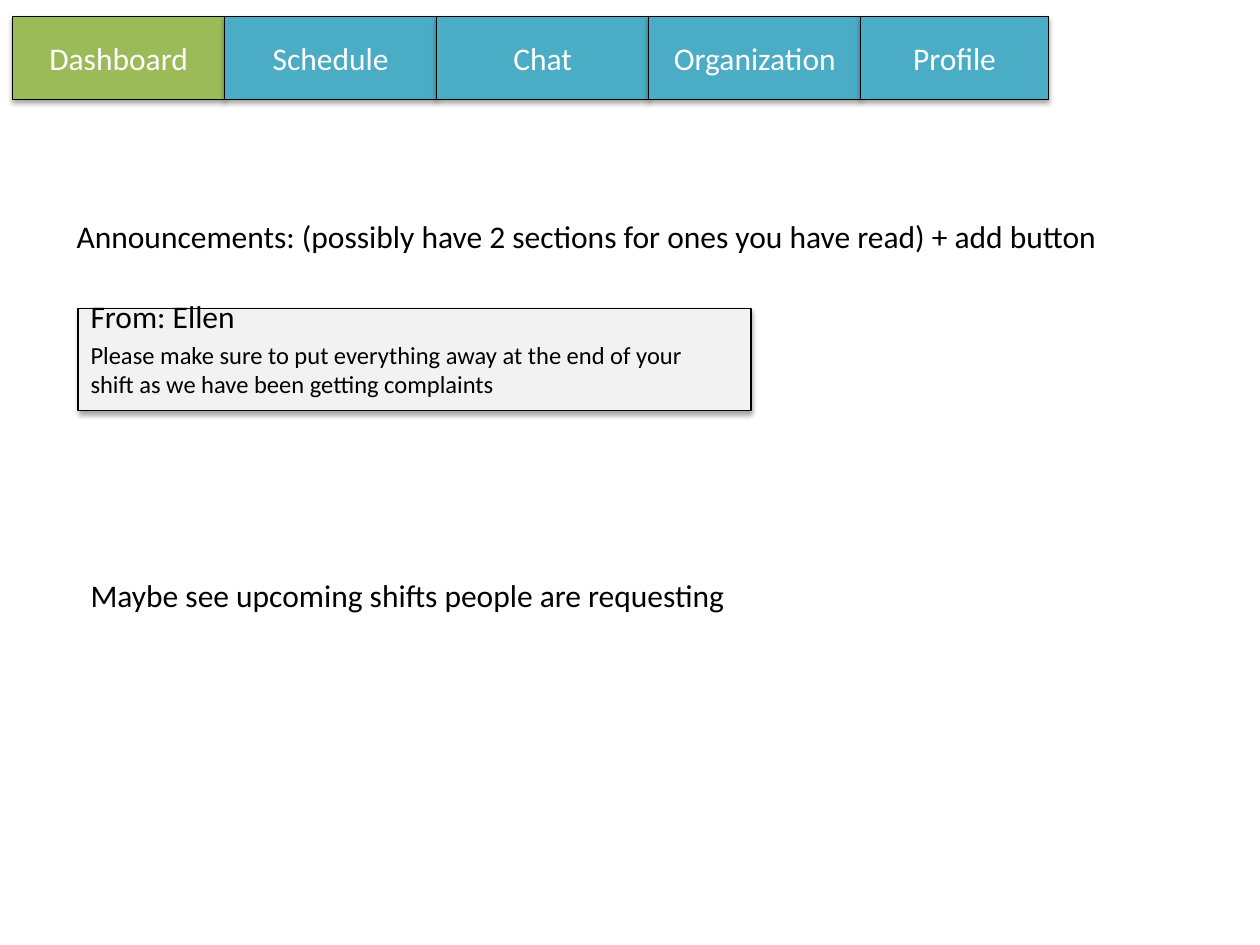
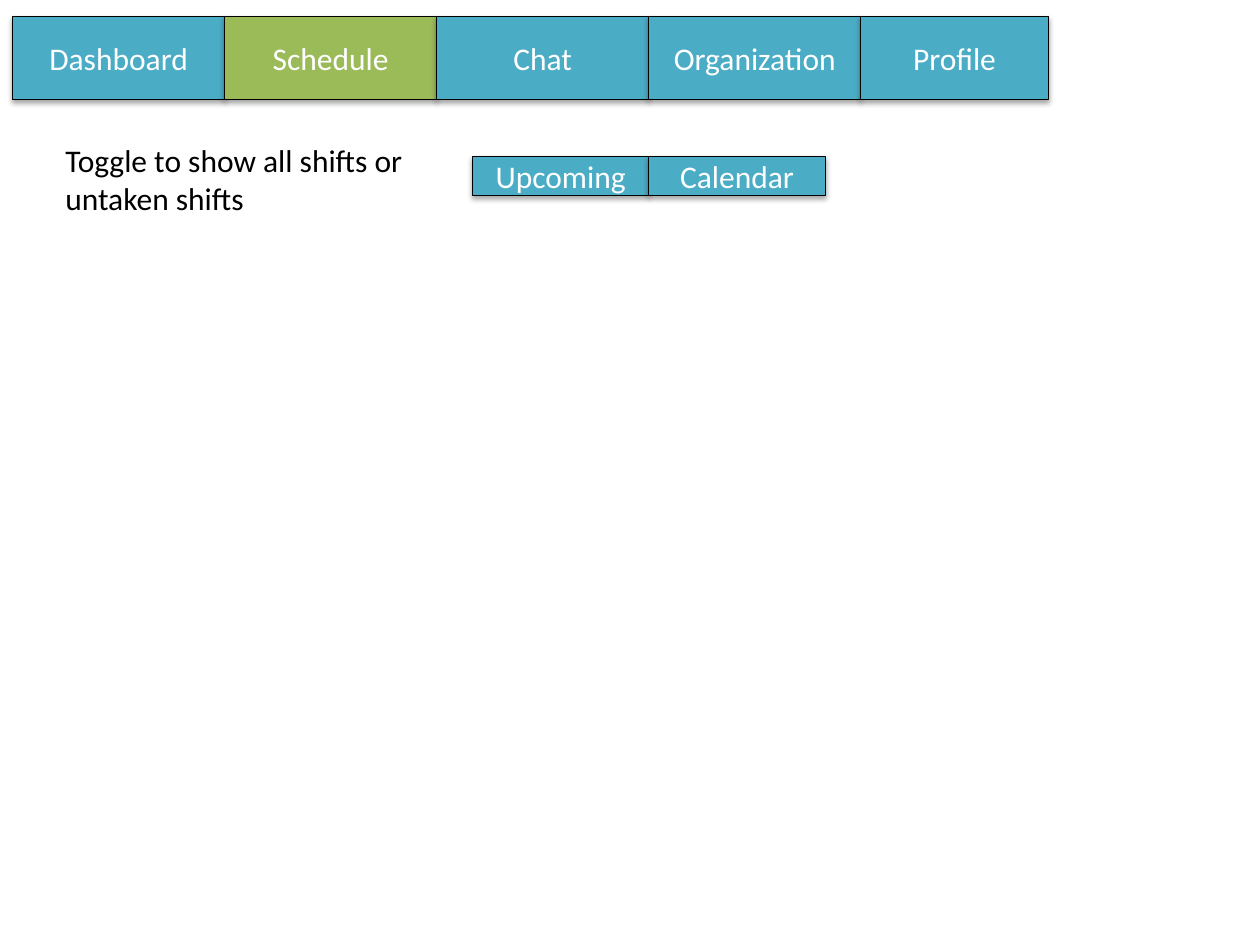
from lxml.etree import SubElement
from pptx import Presentation
from pptx.dml.color import RGBColor
from pptx.enum.shapes import MSO_SHAPE
from pptx.enum.text import MSO_ANCHOR, PP_ALIGN
from pptx.oxml.ns import qn
from pptx.util import Inches, Pt

COLORS = {
    "active": "9BBB59",
    "tab": "4BACC6",
    "card": "F2F2F2",
    "ink": "000000",
    "light": "FFFFFF",
}
FONT = "Calibri"
NAV_BOX = (0.1, 0.13, 8.22, 0.66)
NAV_LABELS = ["Dashboard", "Schedule", "Chat", "Organization", "Profile"]
NAV_STEP = 1.683


def color(name):
    """Return the palette colour of the given name."""
    return RGBColor.from_string(COLORS[name])


def write(frame, text, size=18, ink="ink", align=PP_ALIGN.LEFT,
          anchor=MSO_ANCHOR.TOP, wrap=True, top_inset=0.05):
    """Put formatted text into a text frame."""
    frame.word_wrap = wrap
    frame.vertical_anchor = anchor
    frame.margin_top = Inches(top_inset)
    paragraph = frame.paragraphs[0]
    paragraph.alignment = align
    run = paragraph.add_run()
    run.text = text
    run.font.name = FONT
    run.font.size = Pt(size)
    run.font.color.rgb = color(ink)


def add_note(slide, box, text, **text_format):
    """Add a text box at the given left, top, width and height."""
    note = slide.shapes.add_textbox(*map(Inches, box))
    write(note.text_frame, text, **text_format)


def add_panel(slide, box, fill):
    """Add an outlined rectangle with a soft shadow below it."""
    panel = slide.shapes.add_shape(MSO_SHAPE.RECTANGLE, *map(Inches, box))
    panel.fill.solid()
    panel.fill.fore_color.rgb = color(fill)
    panel.line.color.rgb = color("ink")
    panel.line.width = Pt(0.75)
    panel.shadow.inherit = False
    effects = panel.element.spPr.find(qn("a:effectLst"))
    shadow = SubElement(effects, qn("a:outerShdw"), blurRad=str(Pt(3.1)),
                        dist=str(Pt(1.8)), dir="5400000", rotWithShape="0")
    tint = SubElement(shadow, qn("a:srgbClr"), val=COLORS["ink"])
    SubElement(tint, qn("a:alpha"), val="35000")
    return panel


def add_tabs(slide, box, labels, step, active=None):
    """Fill a box with adjoining tabs, the last one taking what is left."""
    left, top, width, height = box
    for index, label in enumerate(labels):
        offset = index * step
        tab_box = (left + offset, top, min(step, width - offset), height)
        tab = add_panel(slide, tab_box, "active" if label == active else "tab")
        write(tab.text_frame, label, ink="light", align=PP_ALIGN.CENTER,
              anchor=MSO_ANCHOR.MIDDLE)


def add_announcement(slide, box, sender, message):
    """Add an announcement card with its sender and message."""
    left, top, width, height = box
    add_panel(slide, box, "card")
    add_note(slide, (left, top - 0.14, 1.38, 0.4), f"From: {sender}")
    add_note(slide, (left, top + 0.2, width - 0.13, 0.57), message, size=14)


def add_page(deck, active):
    """Add a blank slide with the navigation bar."""
    slide = deck.slides.add_slide(deck.slide_layouts[6])
    add_tabs(slide, NAV_BOX, NAV_LABELS, NAV_STEP, active)
    return slide


def build_dashboard(deck):
    """Build the dashboard page."""
    slide = add_page(deck, "Dashboard")
    add_note(slide, (0.51, 1.37, 9.15, 1.01),
             "Announcements: (possibly have 2 sections for ones you have read)"
             " + add button", top_inset=0.35)
    add_announcement(slide, (0.62, 2.45, 5.34, 0.81), "Ellen",
                     "Please make sure to put everything away at the end of "
                     "your shift as we have been getting complaints")
    add_note(slide, (0.62, 4.52, 5.31, 0.4),
             "Maybe see upcoming shifts people are requesting", wrap=False)


def build_schedule(deck):
    """Build the schedule page."""
    slide = add_page(deck, "Schedule")
    add_tabs(slide, (3.75, 1.24, 2.8, 0.31), ["Upcoming", "Calendar"], 1.4)
    add_note(slide, (0.42, 1.07, 2.94, 0.71),
             "Toggle to show all shifts or untaken shifts")


def main():
    """Build and save the deck."""
    deck = Presentation()
    deck.slide_width, deck.slide_height = Inches(10), Inches(7.5)
    build_dashboard(deck)
    build_schedule(deck)
    deck.save("out.pptx")


main()
